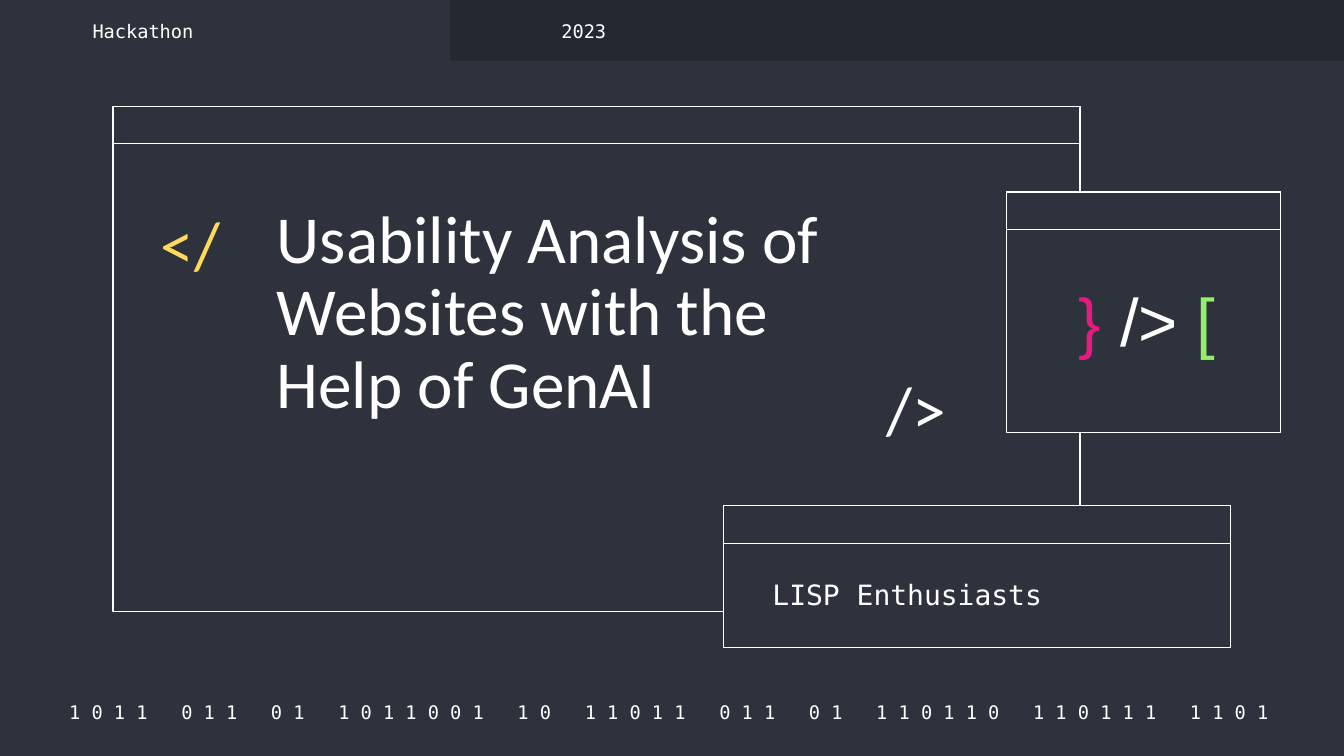
from pptx import Presentation
from pptx import util as u
from pptx.dml.color import RGBColor
from pptx.enum import shapes, text

DARK = RGBColor(0x2D, 0x32, 0x3C)
DARKER = RGBColor(0x24, 0x28, 0x30)
WHITE = RGBColor(0xFF, 0xFF, 0xFF)
YELLOW = RGBColor(0xFF, 0xDB, 0x5D)
PINK = RGBColor(0xE8, 0x19, 0x81)
GREEN = RGBColor(0x94, 0xEE, 0x6B)
MONO = "DejaVu Sans Mono"
TOP, MIDDLE = text.MSO_ANCHOR.TOP, text.MSO_ANCHOR.MIDDLE
LEFT, CENTER = text.PP_ALIGN.LEFT, text.PP_ALIGN.CENTER


def add_rect(parent, box, fill, line=None):
    sp = parent.add_shape(shapes.MSO_SHAPE.RECTANGLE, *[u.Cm(v) for v in box])
    sp.shadow.inherit = False
    sp.fill.solid()
    sp.fill.fore_color.rgb = fill
    if line is None:
        sp.line.fill.background()
    else:
        sp.line.color.rgb = line
        sp.line.width = u.Pt(0.75)


def add_text(box, runs, font, size, anchor=MIDDLE, align=LEFT, spacing=1.0):
    """Runs are (wording, colour, letter spacing in points)."""
    tf = s.shapes.add_textbox(*[u.Cm(v) for v in box]).text_frame
    tf.word_wrap = True
    tf.vertical_anchor = anchor
    tf.margin_left = tf.margin_right = u.Cm(0.25)
    tf.margin_top = tf.margin_bottom = u.Cm(0.25)
    p = tf.paragraphs[0]
    p.alignment = align
    p.line_spacing = spacing
    for wording, colour, tracking in runs:
        r = p.add_run()
        r.text = wording
        r.font.name = font
        r.font.size = u.Pt(size)
        r.font.color.rgb = colour
        if tracking:
            r.font._element.set("spc", str(round(tracking * 100)))


prs = Presentation()
prs.slide_width, prs.slide_height = u.Cm(25.4), u.Cm(14.29)
s = prs.slides.add_slide(prs.slide_layouts[6])
s.background.fill.solid()
s.background.fill.fore_color.rgb = DARK

# Binary footer: a wide space stands between the groups of digits
groups = "1011 011 01 1011001 10 11011 011 01 110110 110111 1101".split()
binary = []
for group in groups:
    binary += [(" ".join(group), WHITE, 0), (" ", WHITE, 12.04)]
binary[-1] = (" ", WHITE, 0)
add_text((0.97, 13.21, 23.55, 0.51), binary, MONO, 10, align=CENTER)

# Header band
add_rect(s.shapes, (8.51, 0, 16.89, 1.15), DARKER)

# Windows, each with a title bar
for x, y, w, h in [(2.14, 2.01, 18.27, 9.55),
                   (13.68, 9.56, 9.58, 2.68),
                   (19.02, 3.63, 5.18, 4.55)]:
    window = s.shapes.add_group_shape().shapes
    for height in (h, 0.71):
        add_rect(window, (x, y, w, height), DARK, WHITE)

# Code brackets around the title
add_text((2.79, 3.84, 1.96, 1.68), [("</", YELLOW, 0)], "Calibri", 36, spacing=0.9)
add_text((16.51, 6.96, 1.96, 1.68), [("/>", WHITE, 0)], "Calibri", 36, spacing=0.9)

# Symbols in the small window
symbols = [("}", PINK, 0), (" /> ", WHITE, 0), ("[", GREEN, 0)]
add_text((19.99, 5.21, 3.38, 2.08), symbols, "Arial", 36, TOP, CENTER, 0.9)

# Title and team name
title = "Usability Analysis of Websites with the Help of GenAI"
add_text((4.98, 3.63, 11.53, 4.65), [(title, WHITE, 0)], "Calibri", 36, TOP, spacing=0.9)
add_text((14.35, 10.49, 8.46, 1.47), [("LISP Enthusiasts", WHITE, 0)], MONO, 15)

# Header labels
for x, label in [(1.5, "Hackathon"), (10.36, "2023")]:
    add_text((x, 0.33, 5.56, 0.51), [(label, WHITE, 0)], MONO, 10)

prs.save("out.pptx")
